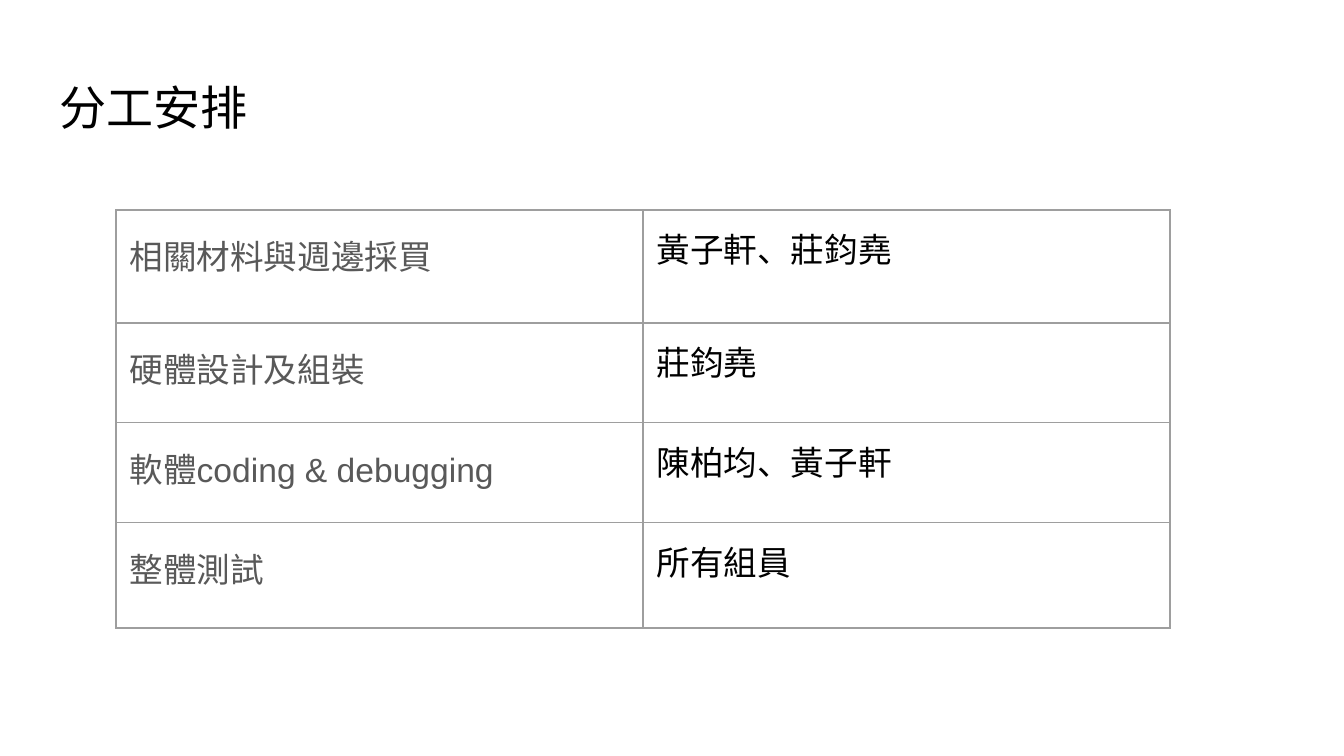
"""Build the task assignment slide with a title and a two-column table."""
from pptx import Presentation
from pptx.dml.color import RGBColor
from pptx.enum import text
from pptx.oxml import parse_xml
from pptx.oxml import ns
from pptx.util import Pt

COLORS = {"title": "000000", "task": "595959", "member": "000000", "border": "9E9E9E"}
FONT = "Arial"
INSET = Pt(7.2)
COL_WIDTH = 282.3
ROW_HEIGHTS = [60.5, 53.5, 53.5, 56.5]
ASSIGNMENTS = [
    ("相關材料與週邊採買", "黃子軒、莊鈞堯"),
    ("硬體設計及組裝", "莊鈞堯"),
    ("軟體coding & debugging", "陳柏均、黃子軒"),
    ("整體測試", "所有組員"),
]


def style_paragraph(p, size, color):
    p.alignment = text.PP_ALIGN.LEFT
    p.font.name = FONT
    p.font.size = Pt(size)
    p.font.color.rgb = RGBColor.from_string(COLORS[color])


def set_insets(obj):
    obj.margin_left = obj.margin_right = INSET
    obj.margin_top = obj.margin_bottom = INSET


def set_borders(cell):
    tc_pr = cell._tc.get_or_add_tcPr()
    for side in ("lnL", "lnR", "lnT", "lnB"):
        tc_pr.append(parse_xml(
            f'<a:{side} {ns.nsdecls("a")} w="{Pt(0.75)}"><a:solidFill>'
            f'<a:srgbClr val="{COLORS["border"]}"/></a:solidFill></a:{side}>'))


def add_title(s, title):
    sp = s.shapes.title
    sp.left, sp.top, sp.width, sp.height = Pt(24.5), Pt(35), Pt(671), Pt(45.1)
    tf = sp.text_frame
    tf.text = title
    tf.word_wrap = True
    tf.auto_size = text.MSO_AUTO_SIZE.NONE
    tf.vertical_anchor = text.MSO_ANCHOR.TOP
    set_insets(tf)
    style_paragraph(tf.paragraphs[0], 25.2, "title")


def fill_cell(cell, content, color):
    cell.text = content
    cell.vertical_anchor = text.MSO_ANCHOR.TOP
    set_insets(cell)
    set_borders(cell)
    cell.fill.background()
    p = cell.text_frame.paragraphs[0]
    style_paragraph(p, 18, color)
    return p


def add_assignments(s):
    frame = s.shapes.add_table(len(ASSIGNMENTS), 2, Pt(62.2), Pt(112.5),
                               Pt(2 * COL_WIDTH), Pt(sum(ROW_HEIGHTS)))
    table = frame.table
    table.first_row = table.horz_banding = False
    for column in table.columns:
        column.width = Pt(COL_WIDTH)
    for row, height, (task, members) in zip(table.rows, ROW_HEIGHTS, ASSIGNMENTS):
        row.height = Pt(height)
        p = fill_cell(row.cells[0], task, "task")
        p.line_spacing = 1.15
        p.space_after = Pt(12)
        fill_cell(row.cells[1], members, "member")


def main():
    prs = Presentation()
    prs.slide_width, prs.slide_height = Pt(720), Pt(405)
    s = prs.slides.add_slide(prs.slide_layouts[5])
    add_title(s, "分工安排")
    add_assignments(s)
    prs.save("out.pptx")


if __name__ == "__main__":
    main()
